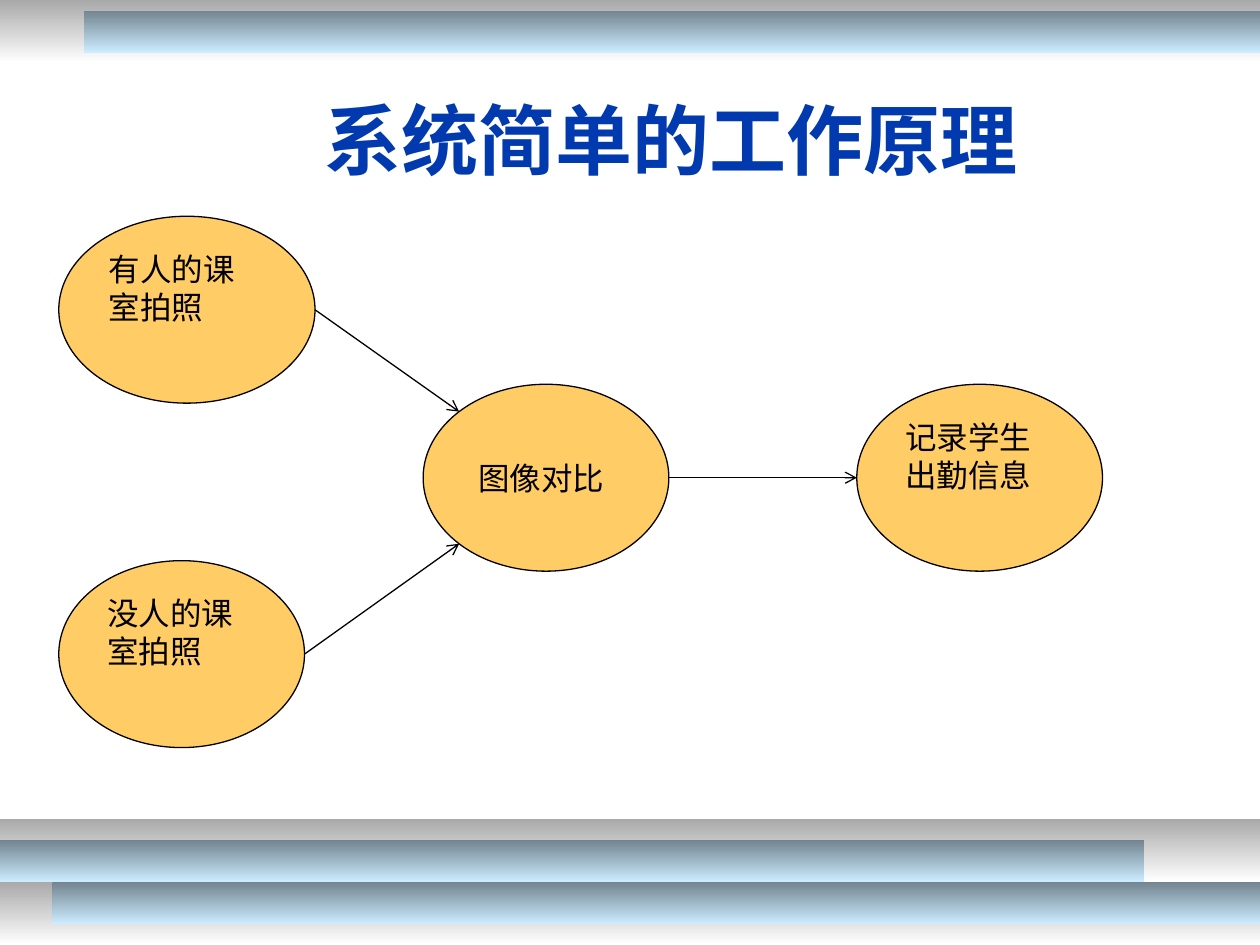
import math

import pptx
import pptx.dml.color
import pptx.enum.dml
import pptx.enum.shapes
import pptx.enum.text
import pptx.oxml
import pptx.util

RGBColor = pptx.dml.color.RGBColor
GREY = RGBColor(0xA9, 0xA9, 0xA9)
WHITE = RGBColor(0xFF, 0xFF, 0xFF)
STEEL = RGBColor(0x72, 0x84, 0x8F)
SKY = RGBColor(0xCC, 0xEC, 0xFF)
AMBER = RGBColor(0xFF, 0xCC, 0x66)
BLACK = RGBColor(0, 0, 0)
BLUE = RGBColor(0x00, 0x3A, 0xAE)

WIDTH = pptx.util.Inches(10)
HEIGHT = pptx.util.Inches(7.5)
COLUMNS, ROWS = 120, 90
CELL = WIDTH / COLUMNS
OVAL_WIDTH, OVAL_HEIGHT = 23.4, 17.8
LEFT_COLUMN, MIDDLE_ROW = 5.6, 36.6
DIAGONAL = math.sqrt(0.5)


def grid(*cells):
    return [round(cell * CELL) for cell in cells]


def write_text(frame, text, size=18, color=BLACK, bold=False,
               align=pptx.enum.text.PP_ALIGN.LEFT,
               anchor=pptx.enum.text.MSO_ANCHOR.TOP, indent=0.1):
    frame.word_wrap = True
    frame.auto_size = pptx.enum.text.MSO_AUTO_SIZE.NONE
    frame.vertical_anchor = anchor
    frame.margin_left = pptx.util.Inches(indent)
    para = frame.paragraphs[0]
    para.alignment = align
    span = para.add_run()
    span.text = text
    span.font.name = "Arial"
    span.font.size = pptx.util.Pt(size)
    span.font.bold = bold
    span.font.color.rgb = color


def add_bar(page, left, top, width, height, start, end):
    bar = page.shapes.add_shape(pptx.enum.shapes.MSO_SHAPE.RECTANGLE,
                                *grid(left, top, width, height))
    bar.shadow.inherit = False
    bar.line.fill.background()
    bar.fill.gradient()
    bar.fill.gradient_angle = 270
    for stop, color in zip(bar.fill.gradient_stops, (start, end)):
        stop.color.rgb = color


def add_oval(page, text, left, top, width=OVAL_WIDTH, **text_format):
    oval = page.shapes.add_shape(pptx.enum.shapes.MSO_SHAPE.OVAL,
                                 *grid(left, top, width, OVAL_HEIGHT))
    oval.shadow.inherit = False
    oval.fill.solid()
    oval.fill.fore_color.rgb = AMBER
    oval.line.color.rgb = BLACK
    oval.line.width = pptx.util.Pt(0.75)
    write_text(oval.text_frame, text, **text_format)
    return oval


def rim_point(oval, across, down):
    return (round(oval.left + oval.width * (1 + across) / 2),
            round(oval.top + oval.height * (1 + down) / 2))


def add_arrow(page, start, end):
    arrow = page.shapes.add_connector(
        pptx.enum.shapes.MSO_CONNECTOR.STRAIGHT, *start, *end)
    arrow.line.color.rgb = BLACK
    arrow.line.width = pptx.util.Pt(0.75)
    head = pptx.oxml.parse_xml(
        '<a:tailEnd xmlns:a="http://schemas.openxmlformats.org/'
        'drawingml/2006/main" type="arrow"/>')
    arrow.line._get_or_add_ln().append(head)
    effects = pptx.oxml.parse_xml(
        '<a:effectLst xmlns:a="http://schemas.openxmlformats.org/'
        'drawingml/2006/main"/>')
    arrow._element.spPr.append(effects)


def add_title(page, text):
    title = page.shapes.title
    title.left, title.top, title.width, title.height = grid(7.9, 5.7, 112.1, 15)
    write_text(title.text_frame, text, size=44, color=BLUE, bold=True,
               align=pptx.enum.text.PP_ALIGN.CENTER,
               anchor=pptx.enum.text.MSO_ANCHOR.MIDDLE)


def main():
    deck = pptx.Presentation()
    deck.slide_width, deck.slide_height = WIDTH, HEIGHT
    page = deck.slides.add_slide(deck.slide_layouts[5])
    page.background.fill.solid()
    page.background.fill.fore_color.rgb = WHITE

    for top in (ROWS - 6, ROWS - 12, 0):
        add_bar(page, 0, top, COLUMNS, 6, GREY, WHITE)
    for left, top, right in ((0, 80, 109), (5, 84, COLUMNS), (8, 1, COLUMNS)):
        add_bar(page, left, top, right - left, 4, STEEL, SKY)

    occupied = add_oval(page, "有人的课室拍照", LEFT_COLUMN, 20.6, width=24.4)
    compare = add_oval(page, "图像对比", 40.3, MIDDLE_ROW, indent=0.15,
                       anchor=pptx.enum.text.MSO_ANCHOR.MIDDLE)
    empty = add_oval(page, "没人的课室拍照", LEFT_COLUMN, 53.4)
    record = add_oval(page, "记录学生出勤信息", 81.6, MIDDLE_ROW)

    for source, target, across, down in (
            (occupied, compare, -DIAGONAL, -DIAGONAL),
            (empty, compare, -DIAGONAL, DIAGONAL),
            (compare, record, -1, 0)):
        add_arrow(page, rim_point(source, 1, 0),
                  rim_point(target, across, down))

    add_title(page, "系统简单的工作原理")
    deck.save("out.pptx")


if __name__ == "__main__":
    main()
